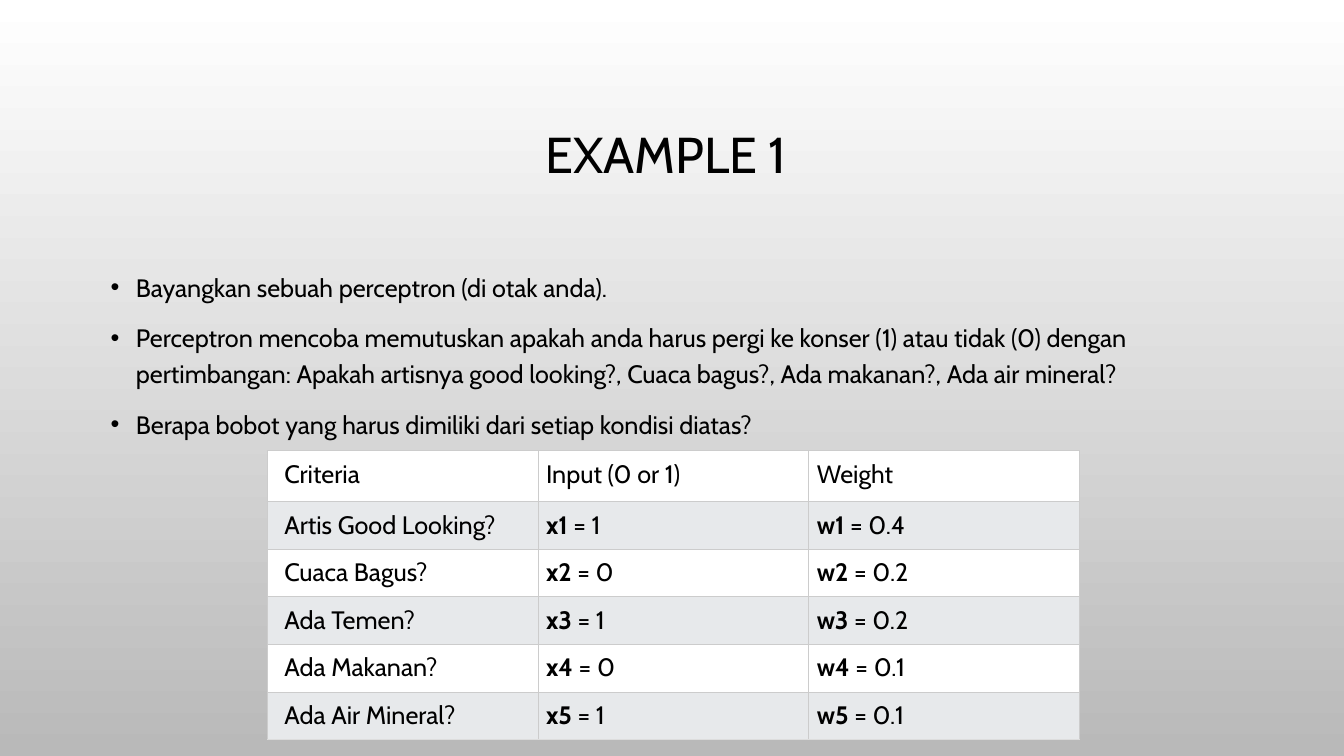
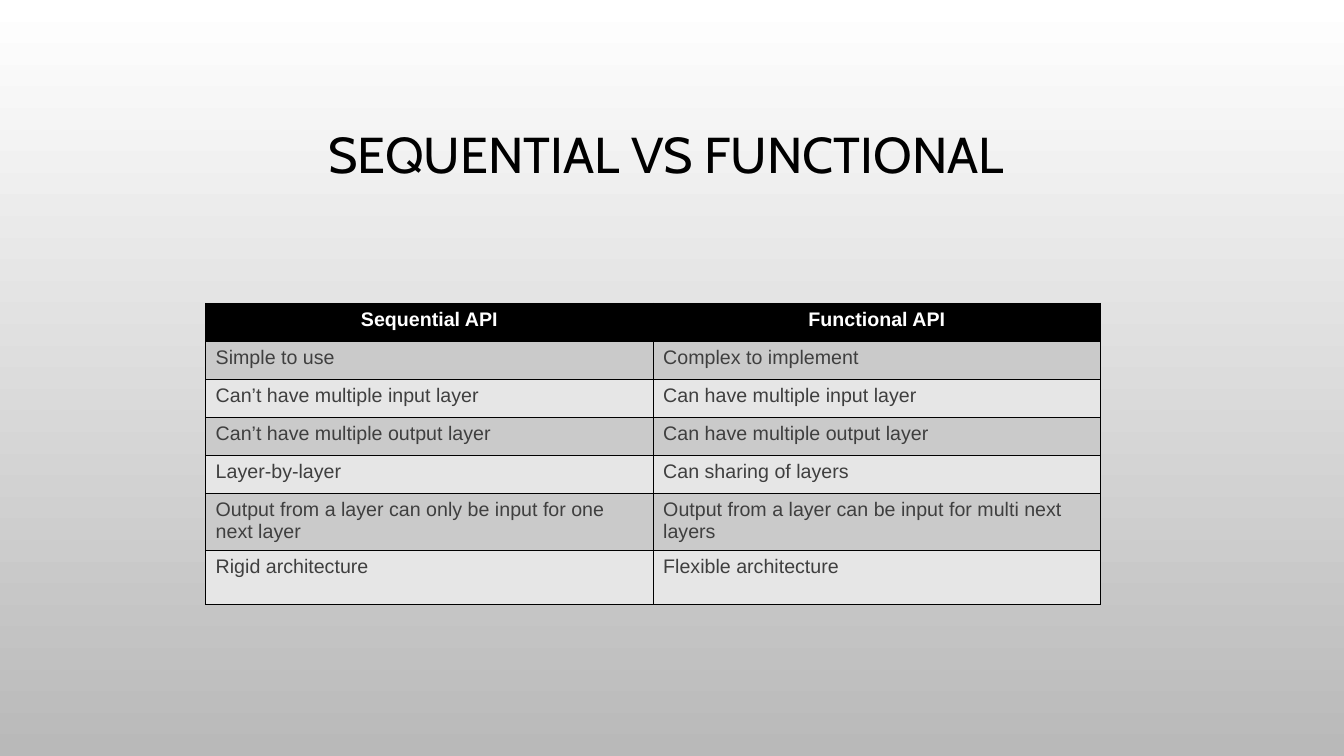
"""Build two slides on perceptron weights and on the Sequential and Functional APIs."""
from dataclasses import dataclass
from typing import Any, NamedTuple

from lxml import etree
from pptx import Presentation, util as u
from pptx.dml.color import RGBColor
from pptx.enum import text as t
from pptx.oxml import ns


@dataclass(frozen=True)
class Theme:
    display: str = "Cabin"
    plain: str = "Arial"
    title_size: int = 36
    body_size: int = 18
    small_size: int = 14
    black: str = "000000"
    white: str = "FFFFFF"
    sky_end: str = "B9B9B9"
    grey_text: str = "3F3F3F"
    dark_band: str = "CACACA"
    light_band: str = "E6E6E6"
    pale_band: str = "E7E9EB"
    pale_line: str = "CCCCCC"
    foot_line: str = "DDDDDD"
    line_width: float = 0.75


class Area(NamedTuple):
    """Left, top, width and height as percentages of the slide."""
    left: float
    top: float
    width: float
    height: float


class Style(NamedTuple):
    font: str
    size: int
    color: str
    bold: bool = False


class Part(NamedTuple):
    words: str
    bold: bool = False


class Criterion(NamedTuple):
    question: str
    answer: int
    weight: float


@dataclass(frozen=True)
class Grid:
    """Content and look of one table; row heights are slide percentages."""
    area: Area
    rows: list[list[list[Part]]]
    heights: list[float]
    header: Style
    cells: Style
    header_fill: str
    bands: tuple[str, str]
    line: str
    foot: str
    margins: tuple[float, float, float, float]
    first_margin: float
    header_align: Any = t.PP_ALIGN.LEFT


THEME = Theme()
WIDTH, HEIGHT = u.Inches(13.33), u.Inches(7.5)
TITLE_AREA = Area(7.5, 9.07, 85, 23.33)
BODY_AREA = Area(7.5, 34.53, 85, 49.87)
TITLE = Style(THEME.display, THEME.title_size, THEME.black)
BODY = Style(THEME.display, THEME.body_size, THEME.black)

QUESTIONS = [
    "Bayangkan sebuah perceptron (di otak anda).",
    "Perceptron mencoba memutuskan apakah anda harus pergi ke konser (1) atau tidak (0) "
    "dengan pertimbangan: Apakah artisnya good looking?, Cuaca bagus?, Ada makanan?, "
    "Ada air mineral?",
    "Berapa bobot yang harus dimiliki dari setiap kondisi diatas?",
]
CRITERIA = [
    Criterion("Artis Good Looking?", 1, 0.4),
    Criterion("Cuaca Bagus?", 0, 0.2),
    Criterion("Ada Temen?", 1, 0.2),
    Criterion("Ada Makanan?", 0, 0.1),
    Criterion("Ada Air Mineral?", 1, 0.1),
]
API_ROWS = [
    ("Sequential API", "Functional API"),
    ("Simple to use", "Complex to implement"),
    ("Can’t have multiple input layer", "Can have multiple input layer"),
    ("Can’t have multiple output layer", "Can have multiple output layer"),
    ("Layer-by-layer", "Can sharing of layers"),
    ("Output from a layer can only be input for one next layer",
     "Output from a layer can be input for multi next layers"),
    ("Rigid architecture", "Flexible architecture"),
]


def criterion_row(number: int, item: Criterion) -> list[list[Part]]:
    return [[Part(item.question)],
            [Part(f"x{number}", True), Part(f" = {item.answer}")],
            [Part(f"w{number}", True), Part(f" = {item.weight}")]]


WEIGHTS = Grid(
    area=Area(19.88, 59.6, 60.45, 38.25),
    rows=[[[Part(head)] for head in ("Criteria", "Input (0 or 1)", "Weight")]]
    + [criterion_row(n, item) for n, item in enumerate(CRITERIA, 1)],
    heights=[6.75] + [6.3] * len(CRITERIA),
    header=BODY, cells=BODY,
    header_fill=THEME.white, bands=(THEME.pale_band, THEME.white),
    line=THEME.pale_line, foot=THEME.foot_line,
    margins=(0.08, 0.08, 0.08, 0.08), first_margin=0.17,
)
APIS = Grid(
    area=Area(15.3, 40.13, 66.6, 39.5),
    rows=[[[Part(entry)] for entry in row] for row in API_ROWS],
    heights=[5.03] * 5 + [7.27, 7.07],
    header=Style(THEME.plain, THEME.small_size, THEME.white, True),
    cells=Style(THEME.plain, THEME.small_size, THEME.grey_text),
    header_fill=THEME.black, bands=(THEME.dark_band, THEME.light_band),
    line=THEME.black, foot=THEME.black,
    margins=(0.1, 0.05, 0.1, 0.05), first_margin=0.1,
    header_align=t.PP_ALIGN.CENTER,
)


def apply(target: Any, values: dict[str, Any]) -> None:
    for name, value in values.items():
        setattr(target, name, value)


def across(percent: float) -> int:
    return round(WIDTH * percent / 100)


def down(percent: float) -> int:
    return round(HEIGHT * percent / 100)


def place(area: Area) -> tuple[int, int, int, int]:
    return across(area.left), down(area.top), across(area.width), down(area.height)


def write(paragraph: Any, parts: list[Part], style: Style, layout: dict[str, Any]) -> None:
    apply(paragraph, layout)
    for part in parts:
        run = paragraph.add_run()
        run.text = part.words
        apply(run.font, {"name": style.font, "size": u.Pt(style.size),
                         "bold": style.bold or part.bold})
        run.font.color.rgb = RGBColor.from_string(style.color)


def add_bullet(paragraph: Any) -> None:
    props = paragraph._p.get_or_add_pPr()
    apply_indent = {"marL": u.Inches(0.25), "indent": -u.Inches(0.25)}
    for name, value in apply_indent.items():
        props.set(name, str(int(value)))
    etree.SubElement(props, ns.qn("a:buFont"), typeface=THEME.plain)
    etree.SubElement(props, ns.qn("a:buChar"), char="•")


def add_text(slide: Any, area: Area, lines: list[str], style: Style,
             anchor: Any, layout: dict[str, Any], bullets: bool = False) -> None:
    frame = slide.shapes.add_textbox(*place(area)).text_frame
    apply(frame, {"word_wrap": True, "vertical_anchor": anchor})
    for index, line in enumerate(lines):
        paragraph = frame.add_paragraph() if index else frame.paragraphs[0]
        write(paragraph, [Part(line)], style, layout)
        if bullets:
            add_bullet(paragraph)


def add_borders(cell: Any, line: str, bottom: str) -> None:
    props = cell._tc.get_or_add_tcPr()
    for side, color in {"L": line, "R": line, "T": line, "B": bottom}.items():
        edge = etree.SubElement(props, ns.qn(f"a:ln{side}"), w=str(u.Pt(THEME.line_width)))
        fill = etree.SubElement(edge, ns.qn("a:solidFill"))
        etree.SubElement(fill, ns.qn("a:srgbClr"), val=color)


def add_grid(slide: Any, grid: Grid) -> None:
    columns = len(grid.rows[0])
    table = slide.shapes.add_table(len(grid.rows), columns, *place(grid.area)).table
    apply(table, {"first_row": False, "horz_banding": False})
    left, top, right, bottom = grid.margins
    for r, row in enumerate(grid.rows):
        table.rows[r].height = down(grid.heights[r])
        style = grid.cells if r else grid.header
        align = t.PP_ALIGN.LEFT if r else grid.header_align
        fill = grid.bands[(r - 1) % 2] if r else grid.header_fill
        foot = grid.foot if r == len(grid.rows) - 1 else grid.line
        for c, parts in enumerate(row):
            cell = table.cell(r, c)
            apply(cell, {"margin_left": u.Inches(left if c else grid.first_margin),
                         "margin_top": u.Inches(top),
                         "margin_right": u.Inches(right),
                         "margin_bottom": u.Inches(bottom)})
            add_borders(cell, grid.line, foot)
            cell.fill.solid()
            cell.fill.fore_color.rgb = RGBColor.from_string(fill)
            write(cell.text_frame.paragraphs[0], parts, style, {"alignment": align})


def paint_background(master: Any) -> None:
    fill = master.background.fill
    fill.gradient()
    fill.gradient_angle = 270
    for stop, position, color in zip(fill.gradient_stops, (0, 1),
                                     (THEME.white, THEME.sky_end)):
        stop.position = position
        stop.color.rgb = RGBColor.from_string(color)


def add_titled_slide(deck: Any, title: str) -> Any:
    slide = deck.slides.add_slide(deck.slide_layouts[6])
    add_text(slide, TITLE_AREA, [title], TITLE, t.MSO_ANCHOR.MIDDLE,
             {"alignment": t.PP_ALIGN.CENTER, "line_spacing": 0.9})
    return slide


def main() -> None:
    deck = Presentation()
    apply(deck, {"slide_width": WIDTH, "slide_height": HEIGHT})
    paint_background(deck.slide_master)

    example = add_titled_slide(deck, "EXAMPLE 1 ")
    add_text(example, BODY_AREA, QUESTIONS, BODY, t.MSO_ANCHOR.TOP,
             {"line_spacing": 1.2, "space_before": u.Pt(10)}, bullets=True)
    add_grid(example, WEIGHTS)

    comparison = add_titled_slide(deck, "SEQUENTIAL VS FUNCTIONAL ")
    add_grid(comparison, APIS)

    deck.save("out.pptx")


if __name__ == "__main__":
    main()
